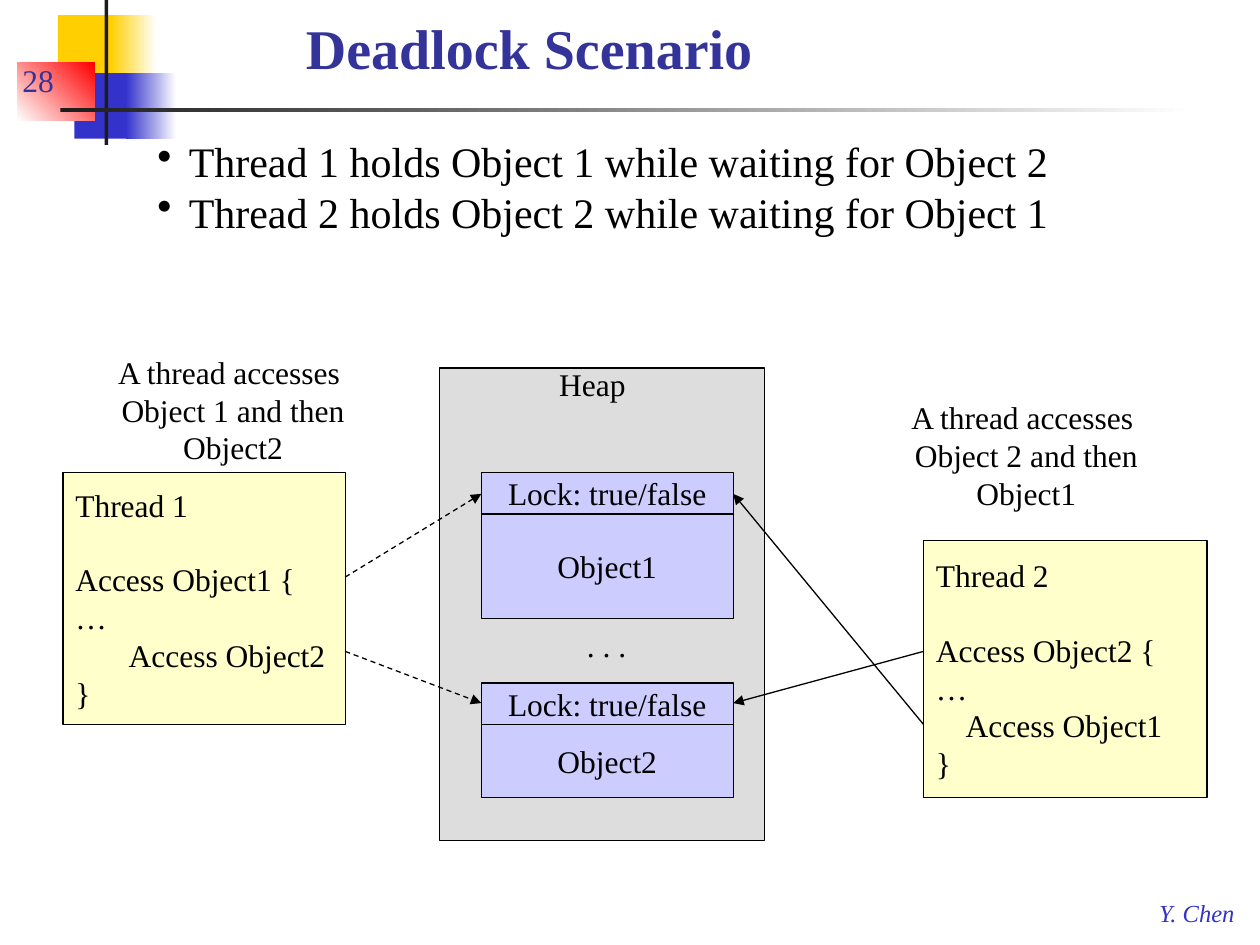
from dataclasses import dataclass

from lxml.etree import SubElement
from pptx import Presentation
from pptx.dml.color import RGBColor as Rgb
from pptx.enum.dml import MSO_LINE_DASH_STYLE as Dash
from pptx.enum.shapes import MSO_CONNECTOR as Connector, MSO_SHAPE as Shape
from pptx.enum.text import MSO_ANCHOR as Anchor, MSO_AUTO_SIZE as Fit, PP_ALIGN as Align
from pptx.oxml.ns import qn
from pptx.util import Inches, Pt


@dataclass(frozen=True)
class Theme:
    font: str = "Times New Roman"
    ink: str = "000000"
    white: str = "FFFFFF"
    heading: str = "333399"
    blue: str = "3333CC"
    yellow: str = "FFCF01"
    red: str = "FF0000"
    bar: str = "1C1C1C"
    heap: str = "DDDDDD"
    memory: str = "CCCCFF"
    thread: str = "FFFFCC"
    title_size: int = 32
    bullet_size: int = 24
    body_size: int = 18
    footer_size: int = 14
    blank_line: int = 21
    outline: float = 0.75


class SlideBuilder:
    columns, rows = 100, 75

    def __init__(self, deck, theme):
        self.theme = theme
        self.slide = deck.slides.add_slide(deck.slide_layouts[6])
        self.column = deck.slide_width / self.columns
        self.row = deck.slide_height / self.rows

    def place(self, *grid):
        steps = (self.column, self.row) * 2
        return [round(value * step) for value, step in zip(grid, steps)]

    def set_lines(self, frame, lines, size=None, color=None, bold=None, italic=None,
                  align=Align.LEFT, anchor=Anchor.TOP, wrap=True, bullet=False, gap_after=None):
        frame.word_wrap = wrap
        frame.vertical_anchor = anchor
        for index, line in enumerate(lines):
            paragraph = frame.paragraphs[0] if index == 0 else frame.add_paragraph()
            paragraph.alignment = align
            if index == gap_after:
                paragraph.space_after = Pt(self.theme.blank_line)
            if bullet:
                self.add_bullet(paragraph)
            for part_index, part in enumerate(line.split("\n")):
                if part_index:
                    paragraph.add_line_break()
                run = paragraph.add_run()
                run.text = part
                run.font.name = self.theme.font
                run.font.size = Pt(size or self.theme.body_size)
                run.font.bold, run.font.italic = bold, italic
                run.font.color.rgb = Rgb.from_string(color or self.theme.ink)

    def add_bullet(self, paragraph):
        properties = paragraph._p.get_or_add_pPr()
        properties.set("marL", str(Inches(0.25)))
        properties.set("indent", str(Inches(-0.25)))
        SubElement(properties, qn("a:buChar")).set("char", "•")

    def text(self, grid, *lines, grow=True, **style):
        frame = self.slide.shapes.add_textbox(*self.place(*grid)).text_frame
        self.set_lines(frame, lines, **style)
        frame.auto_size = Fit.SHAPE_TO_FIT_TEXT if grow else Fit.NONE

    def rectangle(self, grid):
        block = self.slide.shapes.add_shape(Shape.RECTANGLE, *self.place(*grid))
        block.shadow.inherit = False
        block.line.fill.background()
        return block

    def plain(self, grid, color):
        block = self.rectangle(grid)
        block.fill.solid()
        block.fill.fore_color.rgb = Rgb.from_string(color)
        return block

    def fade(self, grid, start, end, angle=0):
        fill = self.rectangle(grid).fill
        fill.gradient()
        fill.gradient_angle = angle
        for stop, color, position in zip(fill.gradient_stops, (start, end), (0, 1)):
            stop.color.rgb = Rgb.from_string(color)
            stop.position = position

    def box(self, grid, color, *lines, **style):
        block = self.plain(grid, color)
        block.line.color.rgb = Rgb.from_string(self.theme.ink)
        block.line.width = Pt(self.theme.outline)
        if lines:
            self.set_lines(block.text_frame, lines, anchor=Anchor.MIDDLE, wrap=False, **style)

    def arrow(self, start, end, dashed=False):
        link = self.slide.shapes.add_connector(Connector.STRAIGHT, *self.place(*start, *end))
        link.line.color.rgb = Rgb.from_string(self.theme.ink)
        link.line.width = Pt(self.theme.outline)
        if dashed:
            link.line.dash_style = Dash.DASH
        SubElement(link.line._get_or_add_ln(), qn("a:tailEnd")).set("type", "triangle")
        SubElement(link._element.spPr, qn("a:effectLst"))

    def locked_object(self, top, height, name):
        left, width, lock = 38.2, 20, 3.3
        self.box((left, top, width, lock), self.theme.memory,
                 "Lock: true/false", align=Align.CENTER)
        self.box((left, top + lock, width, height - lock), self.theme.memory,
                 name, align=Align.CENTER)

    def thread(self, grid, number, first, second, indent):
        self.box(grid, self.theme.thread, f"Thread {number}", f"Access Object{first} {{", "…",
                 " " * indent + f"Access Object{second}", "}", gap_after=0)

    def caption(self, grid, first, second):
        self.text(grid, f"A thread accesses \nObject {first} and then Object{second}",
                  align=Align.CENTER)


def main():
    theme = Theme()
    deck = Presentation()
    deck.slide_width, deck.slide_height = Inches(10), Inches(7.5)
    page = SlideBuilder(deck, theme)

    page.plain((4.6, 1.2, 4.8, 5.2), theme.yellow)
    page.fade((8.8, 1.2, 3.6, 5.2), theme.yellow, theme.white)
    page.plain((5.9, 5.8, 4.6, 5.2), theme.blue)
    page.fade((10, 5.8, 4, 5.2), theme.blue, theme.white)
    page.fade((1.4, 5, 6.1, 4.6), theme.white, theme.red, angle=45)
    page.plain((8.3, 0, 0.3, 11.5), theme.bar)
    page.fade((4.8, 8.6, 90, 0.3), theme.bar, theme.white)

    page.text((91, 70.8, 8.2, 3.3), "Y. Chen", size=theme.footer_size,
              color=theme.blue, italic=True, wrap=False)
    page.text((0.8, 3.3, 20.8, 5), "28", color=theme.heading, anchor=Anchor.BOTTOM, grow=False)
    page.text((23.3, 0.8, 71.7, 6.1), "Deadlock Scenario", size=theme.title_size,
              color=theme.heading, bold=True, anchor=Anchor.BOTTOM, grow=False)
    page.text((11.5, 10.3, 82.7, 9.1),
              "Thread 1 holds Object 1 while waiting for Object 2",
              "Thread 2 holds Object 2 while waiting for Object 1",
              size=theme.bullet_size, bullet=True)

    page.box((34.9, 29.2, 25.8, 37.5), theme.heap)
    page.text((43.4, 28.5, 7.3, 4), "Heap", wrap=False)
    page.locked_object(37.5, 11.6, "Object1")
    page.text((45.6, 49.2, 5.1, 4), ". . .", wrap=False)
    page.locked_object(54.2, 9.1, "Object2")

    page.thread((5, 37.5, 22.4, 20), 1, first=1, second=2, indent=7)
    page.caption((7, 27.5, 23, 10.1), 1, 2)
    page.thread((73.3, 42.9, 22.5, 20.4), 2, first=2, second=1, indent=4)
    page.caption((68.7, 31.1, 25.5, 10.1), 2, 1)

    lock_rows = (39.2, 55.8)
    for request_row, lock_row in zip((45.8, 51.7), lock_rows):
        page.arrow((27.4, request_row), (38.2, lock_row), dashed=True)
    for request_row, lock_row in zip((51.7, 57.5), reversed(lock_rows)):
        page.arrow((73.3, request_row), (58.2, lock_row))

    deck.save("out.pptx")


if __name__ == "__main__":
    main()
